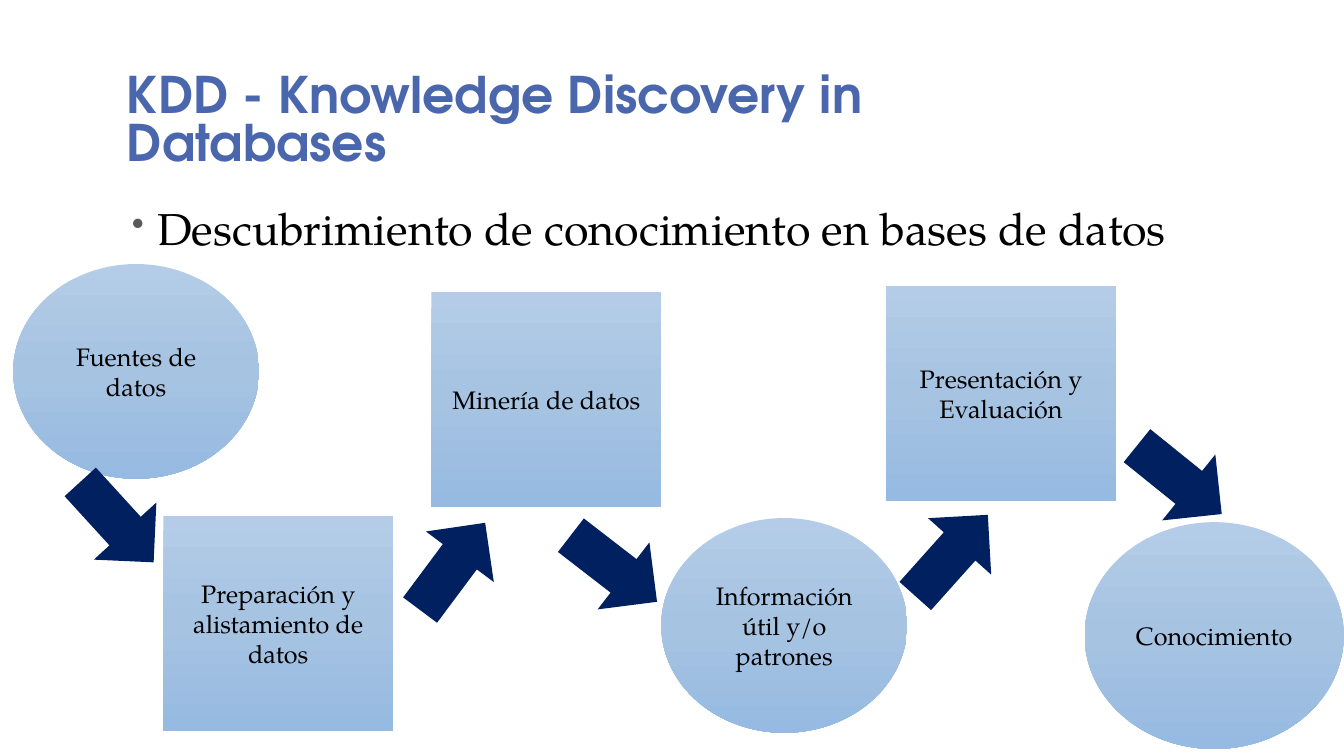
from copy import deepcopy

from lxml import etree
from pptx import Presentation
from pptx.dml.color import RGBColor
from pptx.enum.shapes import MSO_SHAPE
from pptx.enum.text import MSO_ANCHOR, PP_ALIGN
from pptx.oxml.ns import qn
from pptx.util import Inches, Pt

OVAL, RECT, ARROW = MSO_SHAPE.OVAL, MSO_SHAPE.RECTANGLE, MSO_SHAPE.RIGHT_ARROW
CENTER, JUSTIFY = PP_ALIGN.CENTER, PP_ALIGN.JUSTIFY
MIDDLE, BOTTOM, TOP = MSO_ANCHOR.MIDDLE, MSO_ANCHOR.BOTTOM, MSO_ANCHOR.TOP
HEAD_FONT, BODY_FONT = "TeX Gyre Adventor", "TeX Gyre Pagella"
COLORS = {"title": "4A66AC", "text": "000000", "bullet": "595959", "arrow": "002060",
          "light": "B4CCE7", "mid": "A6C3E2", "deep": "96BAE1"}

prs = Presentation()
prs.slide_width, prs.slide_height = Inches(13.333), Inches(7.5)
s = prs.slides.add_slide(prs.slide_layouts[6])


def box(x, y, w, h):
    """Turn percentages of the slide into lengths."""
    return [int(v * side / 100) for v, side in
            zip((x, y, w, h), (prs.slide_width, prs.slide_height) * 2)]


def write(sp, text, size, font, color, align, anchor):
    tf = sp.text_frame
    tf.word_wrap = True
    tf.vertical_anchor = anchor
    p = tf.paragraphs[0]
    p.text = text
    p.alignment = align
    p.font.size, p.font.name = Pt(size), font
    p.font.color.rgb = RGBColor.from_string(COLORS[color])
    return p


# Title
p = write(s.shapes.add_textbox(*box(8.7, 7.73, 71.25, 15.6)),
          "KDD - Knowledge Discovery in Databases", 36, HEAD_FONT, "title", None, BOTTOM)
p.font.bold = True
p.line_spacing = 0.8

# Bulleted statement
p = write(s.shapes.add_textbox(*box(8.7, 26.67, 87.9, 10.8)),
          "Descubrimiento de conocimiento en bases de datos", 32, BODY_FONT, "text", JUSTIFY, TOP)
p.line_spacing = 0.9
p.space_before = Pt(18)
pPr = p._p.get_or_add_pPr()
pPr.set("marL", str(Inches(0.3)))
pPr.set("indent", str(Inches(-0.25)))
bullet_color = etree.Element(qn("a:buClr"))
etree.SubElement(bullet_color, qn("a:srgbClr"), val=COLORS["bullet"])
bullet_parts = [bullet_color,
                etree.Element(qn("a:buSzPct"), val="80000"),
                etree.Element(qn("a:buChar"), char="•")]
defaults = pPr.find(qn("a:defRPr"))
for part in bullet_parts:
    defaults.addprevious(part)

# Process stages
OVAL_SIZE, RECT_SIZE, LAST_SIZE = (18.3, 28.4), (17.1, 28.4), (19.28, 30)
stages = [
    ("Fuentes de datos", OVAL, 0.98, 34.93, OVAL_SIZE),
    ("Preparación y alistamiento de datos", RECT, 12.15, 68.27, RECT_SIZE),
    ("Minería de datos", RECT, 32.1, 38.67, RECT_SIZE),
    ("Información útil y/o patrones", OVAL, 49.2, 68.53, OVAL_SIZE),
    ("Presentación y Evaluación", RECT, 65.93, 37.87, RECT_SIZE),
    ("Conocimiento", OVAL, 80.7, 69.07, LAST_SIZE),
]
for text, kind, x, y, size in stages:
    sp = s.shapes.add_shape(kind, *box(x, y, *size))
    sp.shadow.inherit = False
    sp.line.fill.background()
    sp.fill.gradient()
    sp.fill.gradient_angle = 270
    stop_list = sp._element.spPr.find(qn("a:gradFill")).find(qn("a:gsLst"))
    stop_list.insert(1, deepcopy(stop_list[0]))
    for stop, shade, position in zip(sp.fill.gradient_stops, ("light", "mid", "deep"), (0, 0.5, 1)):
        stop.color.rgb = RGBColor.from_string(COLORS[shade])
        stop.position = position
    write(sp, text, 18, BODY_FONT, "text", CENTER, MIDDLE)

# Arrows between stages
for x, y, angle in [(4.65, 63.47, 47.6), (29.63, 69.33, 306.7), (41.63, 69.6, 37.7),
                    (66.75, 67.87, 311.8), (83.7, 57.87, 38.9)]:
    sp = s.shapes.add_shape(ARROW, *box(x, y, 8.1, 11.2))
    sp.rotation = angle
    sp.shadow.inherit = False
    sp.line.fill.background()
    sp.fill.solid()
    sp.fill.fore_color.rgb = RGBColor.from_string(COLORS["arrow"])

prs.save("out.pptx")
